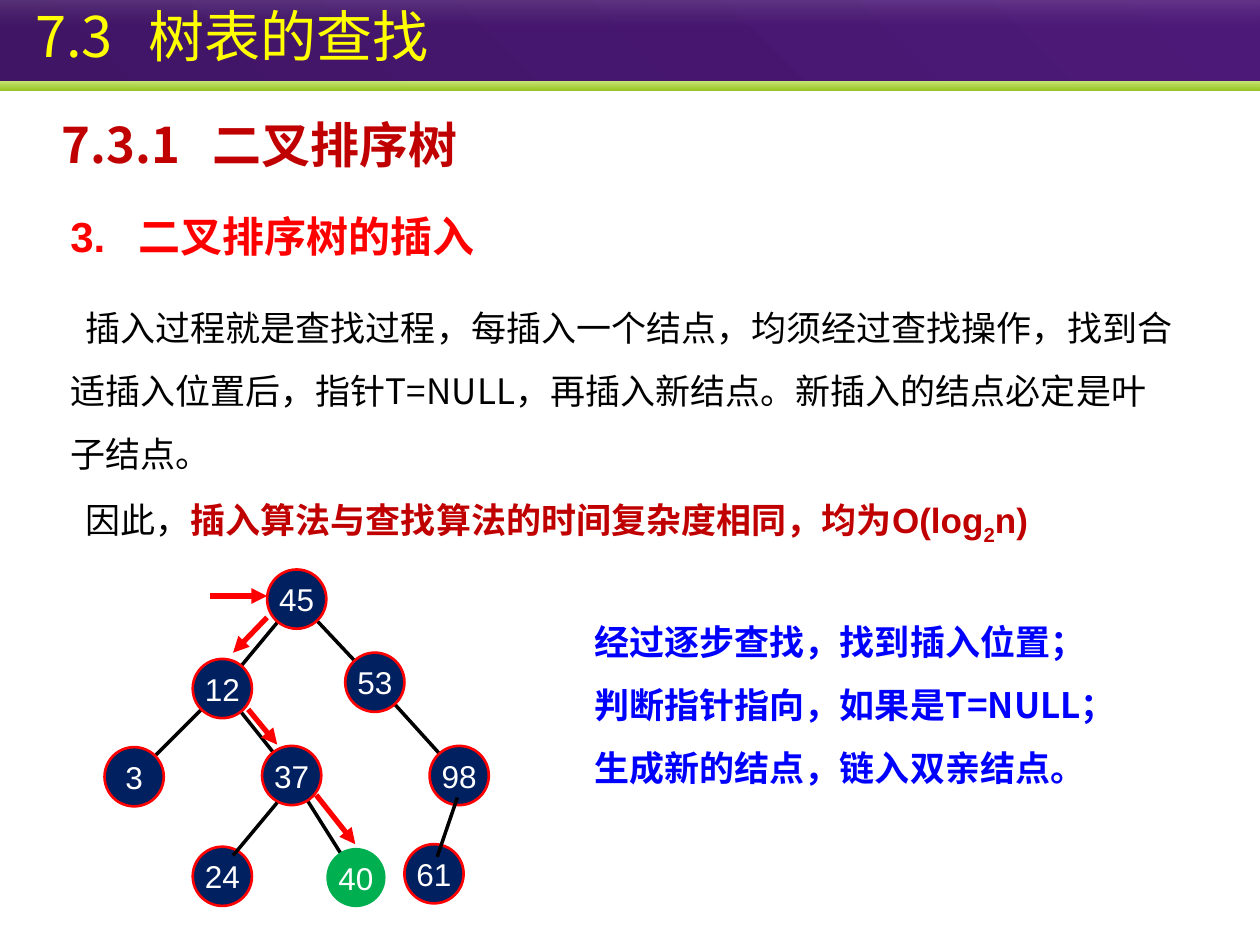
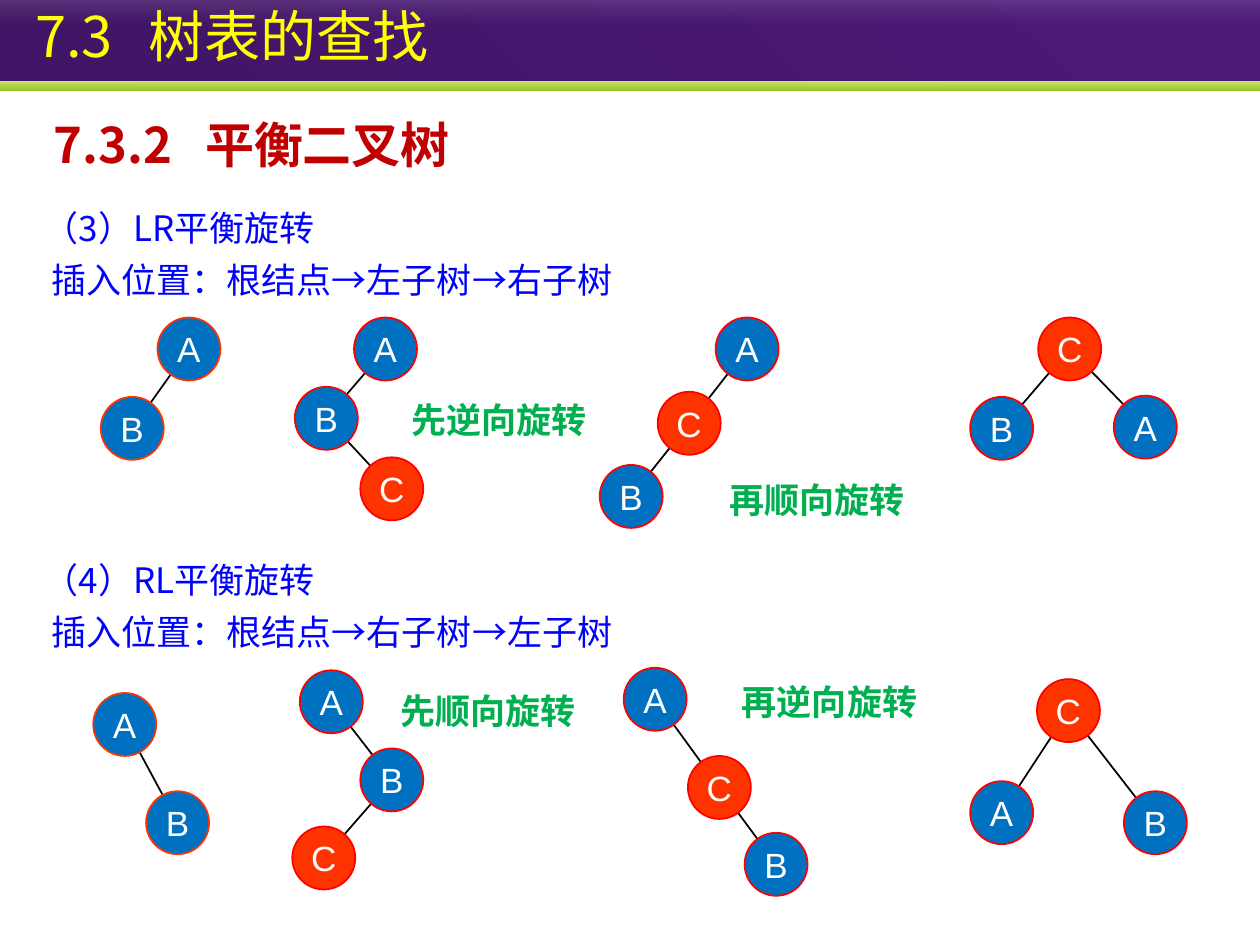
from math import hypot

from lxml import etree
from pptx import Presentation, util as u
from pptx.dml.color import RGBColor
from pptx.enum import shapes as s, text as t
from pptx.oxml.ns import qn

W, H = 10, 7.5
SANS, ARIAL = "Noto Sans CJK SC", "Arial"
HUE = dict(
    black="000000", white="FFFFFF", gray="B6B6B6", yellow="FFFF00",
    red="FF0000", wine="C00000", blue="0000FF", green="00B050",
    navy="002060", sky="0070C0", flame="FF3300",
    dusk="401565", plum="4D1979", lime="C9E576", leaf="97C523",
)

# Bands: top, height, colours from start to end, angle, opacity from start to end
BANDS = [
    (0, 0.64, ("dusk", "plum"), 45, None),
    (0.64, 0.08, ("lime", "leaf"), 270, None),
    (0, 0.2, ("white", "gray"), 270, (13, 0)),
]
TITLE = "7.3\t树表的查找"

# Slide 1
INSERT = [
    "插入过程就是查找过程，每插入一个结点，均须经过查找操作，找到合适插入位置后，"
    "指针T=NULL，再插入新结点。新插入的结点必定是叶子结点。",
    [("因此，", {}),
     ("插入算法与查找算法的时间复杂度相同，均为", dict(color="wine", bold=True)),
     ("O(log", dict(color="wine", bold=True, font=ARIAL)),
     ("2", dict(color="wine", bold=True, font=ARIAL, base=-25)),
     ("n)", dict(color="wine", bold=True, font=ARIAL))],
]
STEPS = [
    "经过逐步查找，找到插入位置；",
    "判断指针指向，如果是T=NULL；",
    "生成新的结点，链入双亲结点。",
]
KEYS = {  # left and top of each node
    "45": (2.12, 4.52), "12": (1.53, 5.23), "53": (2.74, 5.18),
    "3": (0.83, 5.93), "37": (2.08, 5.92), "98": (3.41, 5.92),
    "24": (1.53, 6.72), "40": (2.59, 6.73), "61": (3.21, 6.7),
}
LINKS = [("45", "12"), ("45", "53"), ("12", "3"), ("12", "37"),
         ("53", "98"), ("37", "40")]
OVER = [((2.2, 6.37), (1.85, 6.79)), ((3.63, 6.33), (3.47, 6.8))]
TRAIL = [
    ((1.67, 4.73), (2.12, 4.73)), ((2.12, 4.9), (1.85, 5.18)),
    ((1.97, 5.63), (2.2, 5.91)), ((2.51, 6.31), (2.82, 6.7)),
]

# Slide 2: each case has its heading, trees (nodes and links) and turn labels
CASES = [
    dict(
        at=(0.25, 1.45, 5.67, 1.04), mid=True,
        head=["（3）LR平衡旋转", "插入位置：根结点→左子树→右子树"],
        trees=[
            (dict(A=(1.25, 2.52), B=(0.8, 3.15)), ["AB"]),
            (dict(A=(2.81, 2.52), B=(2.34, 3.07), C=(2.86, 3.63)), ["AB", "BC"]),
            (dict(A=(5.68, 2.52), C=(5.22, 3.11), B=(4.76, 3.69)), ["AC", "CB"]),
            (dict(C=(8.24, 2.52), B=(7.7, 3.15), A=(8.84, 3.14)), ["CB", "CA"]),
        ],
        turns=[("先逆向旋转", 3.17, 3.11), ("再顺向旋转", 5.69, 3.75)],
    ),
    dict(
        at=(0.25, 4.3, 4.83, 0.94), mid=False,
        head=["（4）RL平衡旋转", "插入位置：根结点→右子树→左子树"],
        trees=[
            (dict(A=(0.74, 5.5), B=(1.16, 6.28)), ["AB"]),
            (dict(A=(2.38, 5.32), B=(2.86, 5.94), C=(2.32, 6.56)), ["AB", "BC"]),
            (dict(A=(4.95, 5.3), C=(5.46, 6), B=(5.91, 6.61)), ["AC", "CB"]),
            (dict(C=(8.23, 5.39), A=(7.7, 6.2), B=(8.92, 6.28)), ["CA", "CB"]),
        ],
        turns=[("先顺向旋转", 3.08, 5.42), ("再逆向旋转", 5.79, 5.35)],
    ),
]


def rgb(name):
    return RGBColor.from_string(HUE[name])


def style(run, size, color, font=SANS, bold=False, base=0):
    run.font.size, run.font.bold, run.font.name = u.Pt(size), bold, font
    run.font.color.rgb = rgb(color)
    props = run.font._element
    etree.SubElement(props, qn("a:ea")).set("typeface", SANS)
    if base:
        props.set("baseline", str(base * 1000))


def write(box, paras, align="LEFT", mid=False, wrap=True, gap=None,
          tab=None, indents=(), **look):
    """Fill a shape with paragraphs, each a string or a list of (text, changes)."""
    frame = box.text_frame
    frame.word_wrap = wrap
    frame.vertical_anchor = t.MSO_ANCHOR.MIDDLE if mid else t.MSO_ANCHOR.TOP
    for i, runs in enumerate(paras):
        para = frame.paragraphs[0] if i == 0 else frame.add_paragraph()
        para.alignment = t.PP_ALIGN[align]
        props = para._p.get_or_add_pPr()
        if i < len(indents):
            props.set("indent", str(u.Inches(indents[i])))
        if tab:
            stops = etree.SubElement(props, qn("a:tabLst"))
            etree.SubElement(stops, qn("a:tab"), pos=str(u.Inches(tab)), algn="l")
        if gap:
            para.line_spacing = gap
        for words, change in [(runs, {})] if isinstance(runs, str) else runs:
            run = para.add_run()
            run.text = words
            style(run, **{**look, **change})


def label(slide, at, paras, **look):
    write(slide.shapes.add_textbox(*map(u.Inches, at)), paras, **look)


def shape(slide, kind, at):
    new = slide.shapes.add_shape(s.MSO_SHAPE[kind], *map(u.Inches, at))
    new.shadow.inherit = False
    new.line.fill.background()
    return new


def band(slide, top, high, hues, angle, alphas):
    new = shape(slide, "RECTANGLE", (0, top, W, high))
    new.fill.gradient()
    new.fill.gradient_angle = angle
    for stop, hue, place in zip(new.fill.gradient_stops, hues, (0, 1)):
        stop.color.rgb, stop.position = rgb(hue), place
    if alphas:
        for tint, alpha in zip(new.element.iter(qn("a:srgbClr")), alphas):
            etree.SubElement(tint, qn("a:alpha")).set("val", str(alpha * 1000))


def line(slide, start, end, color="black", width=1, arrow=False):
    new = slide.shapes.add_connector(
        s.MSO_CONNECTOR.STRAIGHT, *map(u.Inches, (*start, *end)))
    new.line.color.rgb, new.line.width = rgb(color), u.Pt(width)
    if arrow:
        etree.SubElement(new.line._get_or_add_ln(), qn("a:tailEnd"), type="triangle")
    etree.SubElement(new.element.spPr, qn("a:effectLst"))


def link(slide, one, two, size, width):
    """Join two nodes, stopping just inside each rim."""
    dx, dy = two[0] - one[0], two[1] - one[1]
    cut = 0.45 * size / hypot(dx, dy)
    ends = [(one[0] + size / 2 + dx * k, one[1] + size / 2 + dy * k)
            for k in (cut, 1 - cut)]
    line(slide, *ends, width=width)


def node(slide, name, spot, size, fill, rim, width, font):
    new = shape(slide, "OVAL", (*spot, size, size))
    new.fill.solid()
    new.fill.fore_color.rgb = rgb(fill)
    if rim:
        new.line.color.rgb, new.line.width = rgb(rim), u.Pt(width)
    write(new, [name], align="CENTER", mid=True, wrap=False,
          size=font, color="white", font=ARIAL)


def page(deck, heading, left):
    slide = deck.slides.add_slide(deck.slide_layouts[6])
    for part in BANDS:
        band(slide, *part)
    label(slide, (0.18, -0.08, 9.78, 0.71), [TITLE], mid=True, tab=0.9,
          size=32, color="yellow")
    label(slide, (left, 0.86, 6.72, 0.57), [heading], tab=1.2,
          size=28, color="wine", bold=True)
    return slide


def insertion(deck):
    slide = page(deck, "7.3.1\t二叉排序树", 0.39)
    label(slide, (0.46, 1.62, 3.51, 0.5), ["3.\t二叉排序树的插入"], tab=0.54,
          size=24, color="red", font=ARIAL, bold=True)
    for one, two in LINKS:
        link(slide, KEYS[one], KEYS[two], 0.47, 2)
    for key, spot in KEYS.items():
        fresh = key == "40"
        node(slide, key, spot, 0.47, "green" if fresh else "navy",
             None if fresh else "red", 1.5, 18)
    for ends in OVER:
        line(slide, *ends, width=2)
    for ends in TRAIL:
        line(slide, *ends, color="red", width=3, arrow=True)
    label(slide, (0.46, 2.22, 8.95, 2.12), INSERT, gap=1.5, indents=(0.12, 0.12),
          size=20, color="black")
    label(slide, (4.62, 4.71, 4.41, 1.62), STEPS, gap=1.5,
          size=20, color="blue", bold=True)


def rotation(deck):
    slide = page(deck, "7.3.2\t平衡二叉树", 0.33)
    for case in CASES:
        label(slide, case["at"], case["head"], mid=case["mid"], gap=u.Pt(30),
              indents=(0, 0.06), size=20, color="blue")
        for spots, links in case["trees"]:
            for one, two in links:
                link(slide, spots[one], spots[two], 0.5, 1)
            rim = "flame" if len(spots) == 2 else "red"
            for name, spot in spots.items():
                node(slide, name, spot, 0.5, "flame" if name == "C" else "sky",
                     rim, 1, 20)
        for words, left, top in case["turns"]:
            label(slide, (left, top, 1.6, 0.44), [words], wrap=False,
                  size=20, color="green", font=ARIAL, bold=True)


def main():
    deck = Presentation()
    deck.slide_width, deck.slide_height = u.Inches(W), u.Inches(H)
    insertion(deck)
    rotation(deck)
    deck.save("out.pptx")


if __name__ == "__main__":
    main()
